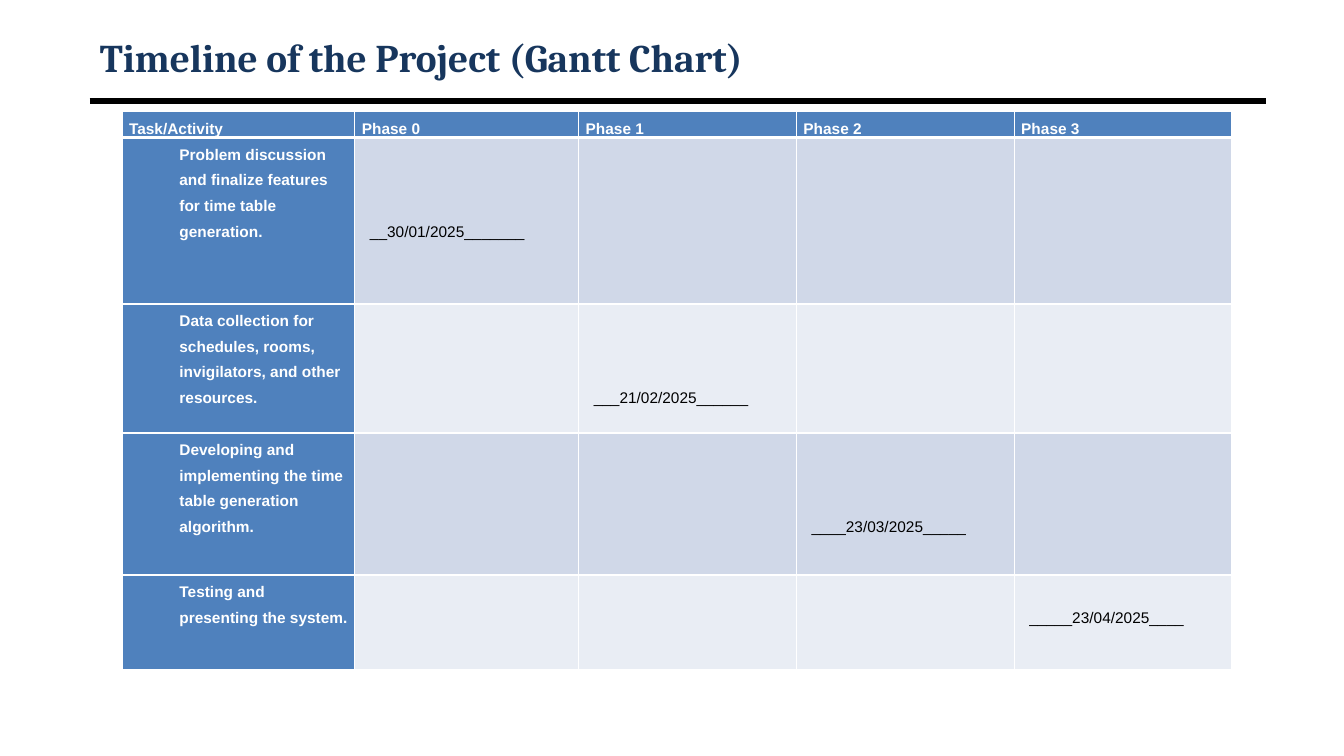
from lxml.etree import SubElement
from pptx import Presentation
from pptx.dml.color import RGBColor
from pptx.enum.shapes import MSO_CONNECTOR
from pptx.enum.text import MSO_ANCHOR, MSO_AUTO_SIZE, PP_ALIGN
from pptx.oxml.ns import qn
from pptx.util import Inches, Pt

NAVY, BLUE, WHITE, BLACK = "17365D", "4F81BD", "FFFFFF", "000000"
BANDS = ["D0D8E8", "E9EDF4"]
PHASES = ["Phase 0", "Phase 1", "Phase 2", "Phase 3"]
TASKS = [
    ("Problem discussion and finalize features for time table generation.",
     "__30/01/2025_______", 3),
    ("Data collection for schedules, rooms, invigilators, and other resources.",
     "___21/02/2025______", 3),
    ("Developing and implementing the time table generation algorithm.",
     "____23/03/2025_____", 3),
    ("Testing and presenting the system.", "_____23/04/2025____", 1),
]
COLUMN_WIDTHS = [2.31, 2.22, 2.16, 2.16, 2.16]
ROW_HEIGHTS = [0.23, 1.65, 1.28, 1.41, 0.94]
LINE_PITCH = 0.255
PADDING = 0.07


def rgb(color):
    return RGBColor.from_string(color)


class TimelineSlide:
    heading_font = "Cambria"
    body_font = "Arial"
    body_size = 11

    def __init__(self, presentation):
        self.slide = presentation.slides.add_slide(presentation.slide_layouts[5])

    def rule(self, left, right, y, weight):
        divider = self.slide.shapes.add_connector(
            MSO_CONNECTOR.STRAIGHT, Inches(left), Inches(y), Inches(right), Inches(y))
        divider.line.color.rgb = rgb(BLACK)
        divider.line.width = Pt(weight)
        SubElement(divider._element.spPr, qn("a:effectLst"))

    def title(self, text, left, top, width, height):
        heading = self.slide.shapes.title
        heading.left, heading.top = Inches(left), Inches(top)
        heading.width, heading.height = Inches(width), Inches(height)
        frame = heading.text_frame
        frame.text = text
        frame.auto_size = MSO_AUTO_SIZE.NONE
        frame.vertical_anchor = MSO_ANCHOR.MIDDLE
        paragraph = frame.paragraphs[0]
        paragraph.alignment = PP_ALIGN.LEFT
        self.style(paragraph, self.heading_font, 28, NAVY, True)

    def style(self, paragraph, name, size, color, bold):
        font = paragraph.font
        font.name, font.size, font.bold = name, Pt(size), bold
        font.color.rgb = rgb(color)

    def table(self, left, top, widths, heights):
        grid = self.slide.shapes.add_table(
            len(heights), len(widths), Inches(left), Inches(top),
            Inches(sum(widths)), Inches(sum(heights))).table
        for column, width in zip(grid.columns, widths):
            column.width = Inches(width)
        for row, height in zip(grid.rows, heights):
            row.height = Inches(height)
        return grid

    def cell(self, cell, fill, text="", color=WHITE, bold=True,
             left=PADDING, top=0, top_border=1, bottom_border=1):
        borders = {"a:lnL": 1, "a:lnR": 1, "a:lnT": top_border, "a:lnB": bottom_border}
        for side, weight in borders.items():
            line = SubElement(cell._tc.get_or_add_tcPr(), qn(side), w=str(Pt(weight)))
            SubElement(SubElement(line, qn("a:solidFill")), qn("a:srgbClr"), val=WHITE)
        cell.fill.solid()
        cell.fill.fore_color.rgb = rgb(fill)
        cell.margin_left, cell.margin_right = Inches(left), Inches(PADDING)
        cell.margin_top, cell.margin_bottom = Inches(top), 0
        cell.text = text
        paragraph = cell.text_frame.paragraphs[0]
        paragraph.line_spacing = 1.5
        self.style(paragraph, self.body_font, self.body_size, color, bold)


def main():
    presentation = Presentation()
    presentation.slide_width, presentation.slide_height = Inches(13.33), Inches(7.5)
    timeline = TimelineSlide(presentation)
    timeline.rule(0.89, 12.56, 1, 4.5)
    timeline.title("Timeline of the Project (Gantt Chart)", 0.89, 0.3, 11.67, 0.53)

    gantt = timeline.table(1.21, 1.11, COLUMN_WIDTHS, ROW_HEIGHTS)
    for column, label in enumerate(["Task/Activity"] + PHASES):
        timeline.cell(gantt.cell(0, column), BLUE, label, bottom_border=3)
    for row, (task, date, lines_above) in enumerate(TASKS, 1):
        top_border = 3 if row == 1 else 1
        timeline.cell(gantt.cell(row, 0), BLUE, task,
                      left=PADDING + 0.5, top_border=top_border)
        for phase in range(1, len(PHASES) + 1):
            due = phase == row
            timeline.cell(gantt.cell(row, phase), BANDS[(row - 1) % 2],
                          date if due else "", BLACK, False,
                          left=PADDING + 0.08 if due else PADDING,
                          top=lines_above * LINE_PITCH if due else 0,
                          top_border=top_border)
    presentation.save("out.pptx")


if __name__ == "__main__":
    main()
